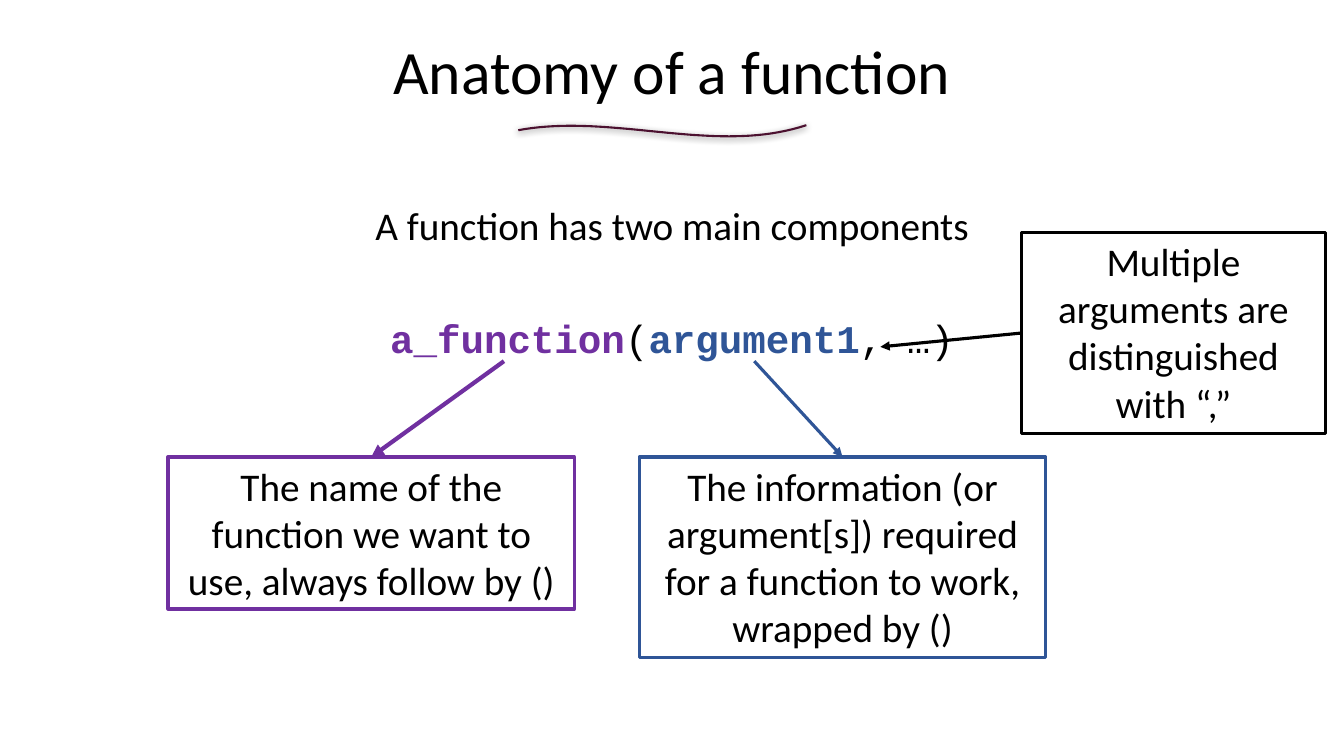
from dataclasses import dataclass

from lxml import etree
from pptx import Presentation
from pptx import util as u
from pptx.dml.color import RGBColor
from pptx.enum import shapes, text
from pptx.oxml import parse_xml
from pptx.oxml.ns import nsdecls, qn


@dataclass(frozen=True)
class Theme:
    """Colours, fonts and type sizes of the slide."""
    ink: str = "000000"
    name: str = "7030A0"
    argument: str = "2F5597"
    underline: str = "4C1130"
    body_font: str = "Calibri"
    code_font: str = "Courier New"
    title_size: int = 44
    body_size: int = 28
    outline: float = 2.25


class Canvas:
    """Draws styled elements on a slide divided into 16 columns and 9 rows."""

    def __init__(self, prs, theme):
        self.theme = theme
        self.col, self.row = prs.slide_width / 16, prs.slide_height / 9
        self.s = prs.slides.add_slide(prs.slide_layouts[5])

    def at(self, *lengths):
        return [round(n * (self.row if i % 2 else self.col))
                for i, n in enumerate(lengths)]

    def style(self, p, size, font=None):
        p.alignment = text.PP_ALIGN.CENTER
        p.font.size = u.Pt(size)
        p.font.name = font or self.theme.body_font
        p.font.color.rgb = RGBColor.from_string(self.theme.ink)

    def stroke(self, sp, color, width):
        sp.line.color.rgb = RGBColor.from_string(color)
        sp.line.width = u.Pt(width)

    def title(self, words, *place):
        sp = self.s.shapes.title
        sp.left, sp.top, sp.width, sp.height = self.at(*place)
        tf = sp.text_frame
        tf.text = words
        tf.vertical_anchor = text.MSO_ANCHOR.MIDDLE
        p = tf.paragraphs[0]
        p.line_spacing = 0.9
        self.style(p, self.theme.title_size)

    def intro(self, words, code, *place):
        tf = self.s.shapes.add_textbox(*self.at(*place)).text_frame
        tf.word_wrap = True
        p = tf.paragraphs[0]
        p.text = words
        p.line_spacing = 0.9
        self.style(p, self.theme.body_size)
        p = tf.add_paragraph()
        p.line_spacing = 0.9
        p.space_before = u.Pt(50.7)
        self.style(p, self.theme.body_size, self.theme.code_font)
        for part, color in code:
            r = p.add_run()
            r.text = part
            r.font.bold = color != self.theme.ink
            r.font.color.rgb = RGBColor.from_string(color)

    def box(self, words, color, *place):
        sp = self.s.shapes.add_shape(
            shapes.MSO_SHAPE.RECTANGLE, *self.at(*place))
        sp.shadow.inherit = False
        sp.fill.background()
        self.stroke(sp, color, self.theme.outline)
        tf = sp.text_frame
        tf.word_wrap = True
        tf.auto_size = text.MSO_AUTO_SIZE.SHAPE_TO_FIT_TEXT
        tf.vertical_anchor = text.MSO_ANCHOR.TOP
        tf.text = words
        self.style(tf.paragraphs[0], self.theme.body_size)
        return sp

    def arrow(self, color, width, start, end, start_box=None, end_box=None):
        c = self.s.shapes.add_connector(
            shapes.MSO_CONNECTOR.STRAIGHT, *self.at(*start, *end))
        if start_box:
            c.begin_connect(start_box, 1)
        if end_box:
            c.end_connect(end_box, 0)
        self.stroke(c, color, width)
        etree.SubElement(c.line._get_or_add_ln(), qn("a:tailEnd"),
                         type="triangle")
        etree.SubElement(c._element.spPr, qn("a:effectLst"))

    def curve(self, color, width, *controls, steps=40):
        points = []
        for i in range(steps + 1):
            t = i / steps
            weights = ((1 - t) ** 3, 3 * t * (1 - t) ** 2,
                       3 * t * t * (1 - t), t ** 3)
            points.append(self.at(*(sum(w * c[axis] for w, c in
                                        zip(weights, controls))
                                    for axis in (0, 1))))
        builder = self.s.shapes.build_freeform(*points[0])
        builder.add_line_segments(points[1:], close=False)
        sp = builder.convert_to_shape()
        sp.fill.background()
        self.stroke(sp, color, width)
        sp._element.spPr.append(parse_xml(
            f'<a:effectLst {nsdecls("a")}><a:outerShdw blurRad="{u.Pt(4.5)}" '
            f'dist="{u.Pt(1.5)}" dir="5400000" algn="t" rotWithShape="0">'
            f'<a:srgbClr val="{self.theme.ink}"><a:alpha val="50000"/>'
            '</a:srgbClr></a:outerShdw></a:effectLst>'))


def main():
    prs = Presentation()
    prs.slide_width, prs.slide_height = u.Inches(13.33), u.Inches(7.5)
    th = Theme()
    s = Canvas(prs, th)
    s.title("Anatomy of a function", 0, 0.02, 16, 1.74)
    s.intro("A function has two main components",
            [("a_function", th.name), ("(", th.ink),
             ("argument1", th.argument), (", …)", th.ink)],
            1.1, 2.4, 13.8, 2.1)
    parts = [
        ("The name of the function we want to use, always follow by ()",
         th.name, 2, 1.81, 6, 3),
        ("The information (or argument[s]) required for a function to work, "
         "wrapped by ()", th.argument, 7.61, 2.39, 8.98, th.outline),
    ]
    top, width = 5.44, 4.84
    for words, color, left, height, start, weight in parts:
        sp = s.box(words, color, left, top, width, height)
        s.arrow(color, weight, (start, 4.3), (left + width / 2, top),
                end_box=sp)
    sp = s.box("Multiple arguments are distinguished with “,”", th.ink,
               12.16, 2.77, 3.62, 2.39)
    s.arrow(th.ink, th.outline, (12.16, 3.96), (10.48, 4.13), start_box=sp)
    s.curve(th.underline, 1.5,
            (6.17, 1.55), (7.3, 1.34), (8.52, 1.85), (9.6, 1.49))
    prs.save("out.pptx")


if __name__ == "__main__":
    main()
